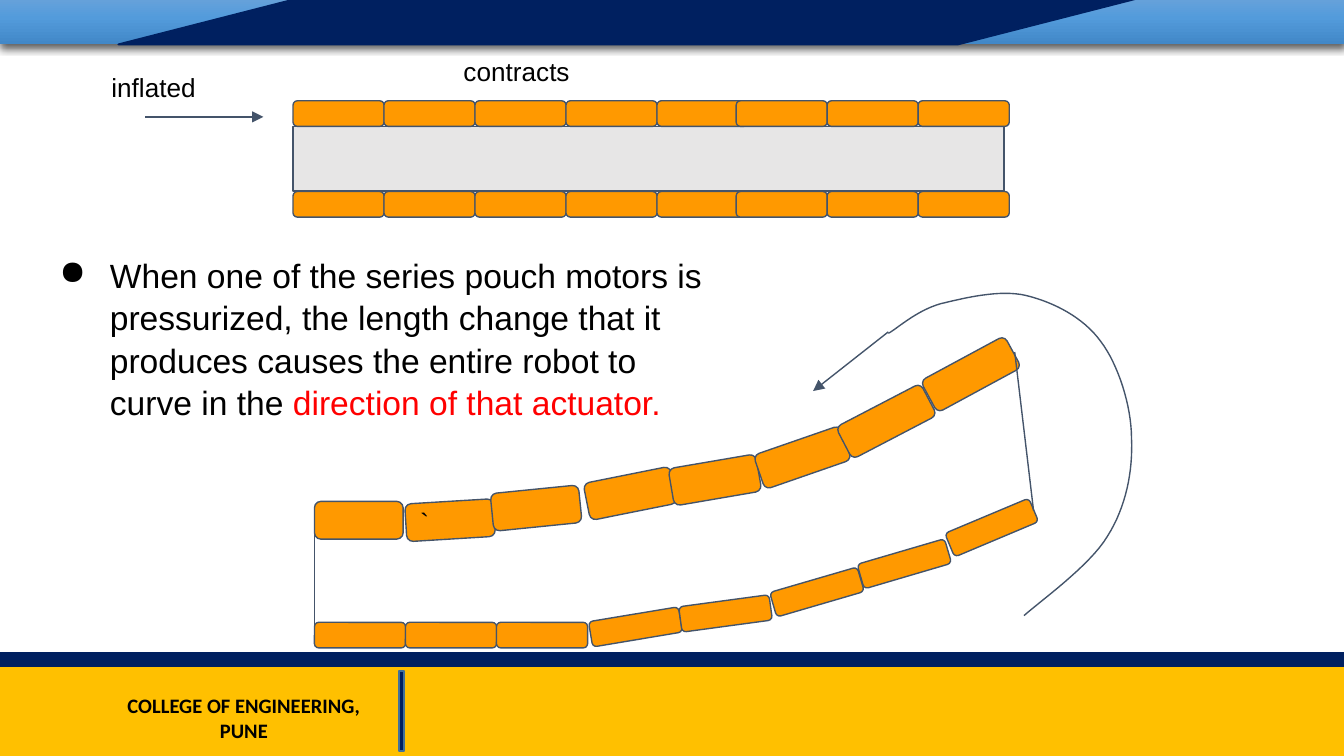
from copy import deepcopy
from dataclasses import dataclass
from typing import Optional

from lxml.etree import SubElement
from pptx import Presentation
from pptx.dml.color import RGBColor
from pptx.enum.shapes import MSO_CONNECTOR, MSO_SHAPE
from pptx.enum.text import MSO_ANCHOR, MSO_AUTO_SIZE, PP_ALIGN
from pptx.oxml.ns import qn
from pptx.util import Pt

BLACK = RGBColor(0x00, 0x00, 0x00)
RED = RGBColor(0xFF, 0x00, 0x00)
NAVY = RGBColor(0x00, 0x20, 0x60)
GOLD = RGBColor(0xFF, 0xC0, 0x00)
ORANGE = RGBColor(0xFF, 0x99, 0x00)
LIGHT_GREY = RGBColor(0xE7, 0xE6, 0xE6)
SLATE = RGBColor(0x44, 0x54, 0x6A)
STEEL_BLUE = RGBColor(0x42, 0x71, 0x9B)
SKY_STOPS = (
    (0, RGBColor(0x70, 0xA5, 0xDA)),
    (0.5, RGBColor(0x53, 0x9B, 0xDB)),
    (1, RGBColor(0x42, 0x88, 0xC8)),
)
POUCH_WIDTH, POUCH_HEIGHT, POUCH_PITCH = 48.8, 13.7, 48.75


@dataclass(frozen=True)
class Pouch:
    """One actuator pouch, measured in points and degrees."""

    left: float
    top: float
    width: float = POUCH_WIDTH
    height: float = POUCH_HEIGHT
    rotation: float = 0


FLAT_LEFTS = [157 + POUCH_PITCH * i for i in range(5)] + [394.4 + POUCH_PITCH * i for i in range(3)]
FLAT_POUCHES = [Pouch(left, top) for top in (54, 102.6) for left in FLAT_LEFTS]
BENT_TOP = [
    Pouch(168.5, 268.6, 47.5, 20.2),
    Pouch(217.4, 268.6, 47.5, 20.2, -3.5),
    Pouch(313.9, 254.2, 47.5, 20.2, -11.3),
    Pouch(263.5, 262.1, 47.5, 20.2, -5.7),
    Pouch(359.3, 247, 47.5, 20.2, -9.7),
    Pouch(405.4, 235.4, 49, 19.4, -19.1),
    Pouch(449.3, 216, 51.1, 19.4, -27.5),
    Pouch(494.6, 190.8, 51.1, 19.4, -28.4),
]
BENT_BOTTOM = [Pouch(168.5 + POUCH_PITCH * i, 333.4) for i in range(3)] + [
    Pouch(316.1, 329, rotation=-9.5),
    Pouch(364.3, 321.8, rotation=-7.7),
    Pouch(413.3, 310.3, rotation=-16.3),
    Pouch(460.1, 295.2, rotation=-16.4),
    Pouch(506.9, 275.8, rotation=-22.8),
]
CURVE_START = (475.9, 178.6)
CURVES = (
    ((480.2, 176.4), (491, 166.3), (504, 162.7)),
    ((516.2, 159.8), (535.7, 154.8), (550.1, 158.4)),
    ((564.5, 162), (580.3, 169.9), (589.7, 182.9)),
    ((599, 195.1), (606.2, 217.4), (606.2, 234.7)),
    ((607, 252), (603.4, 271.4), (593.3, 287.3)),
    ((583.9, 303.1), (556.6, 322.6), (548.6, 329.8)),
)


def add_box(slide, kind, left, top, width, height, fill: Optional[RGBColor] = None,
            line: Optional[RGBColor] = None, line_width: float = 1):
    """Add a preset shape without shadow."""
    shape = slide.shapes.add_shape(kind, Pt(left), Pt(top), Pt(width), Pt(height))
    shape.shadow.inherit = False
    if fill is not None:
        shape.fill.solid()
        shape.fill.fore_color.rgb = fill
    if line is None:
        shape.line.fill.background()
    else:
        shape.line.color.rgb = line
        shape.line.width = Pt(line_width)
    return shape


def add_sky_band(slide) -> None:
    """Add the shaded header band with its soft shadow."""
    band = add_box(slide, MSO_SHAPE.RECTANGLE, 0, -5, 720, 28.8)
    band.fill.gradient()
    band.fill.gradient_angle = 270
    properties = band._element.spPr
    stops = next(properties.iter(qn("a:gsLst")))
    stops.append(deepcopy(stops[0]))
    for stop, (position, color) in zip(band.fill.gradient_stops, SKY_STOPS):
        stop.position = position
        stop.color.rgb = color
    shadow = SubElement(properties.find(qn("a:effectLst")), qn("a:outerShdw"),
                        blurRad=str(Pt(4.5)), dist=str(Pt(1.5)), dir="5400000", rotWithShape="0")
    color = SubElement(shadow, qn("a:srgbClr"), val=str(BLACK))
    SubElement(color, qn("a:alpha"), val="63000")


def add_pouch(slide, pouch: Pouch):
    """Add one orange pouch."""
    shape = add_box(slide, MSO_SHAPE.ROUNDED_RECTANGLE, pouch.left, pouch.top,
                    pouch.width, pouch.height, ORANGE, SLATE, 0.75)
    shape.adjustments[0] = 0.167
    shape.rotation = pouch.rotation
    return shape


def add_line(slide, start, end, arrow: bool = False, joined=None) -> None:
    """Add a straight line, with an arrowhead or joined to (shape, shape, side)."""
    connector = slide.shapes.add_connector(MSO_CONNECTOR.STRAIGHT, *map(Pt, start + end))
    if joined:
        first, last, side = joined
        connector.begin_connect(first, side)
        connector.end_connect(last, side)
        connector.begin_x, connector.begin_y = map(Pt, start)
        connector.end_x, connector.end_y = map(Pt, end)
    connector.line.color.rgb = SLATE
    connector.line.width = Pt(0.75)
    if arrow:
        SubElement(connector.line._get_or_add_ln(), qn("a:tailEnd"), type="triangle")
    SubElement(connector._element.spPr, qn("a:effectLst"))


def add_curve(slide, steps: int = 16) -> None:
    """Draw the cubic curves as one smooth open outline."""
    points, start = [], CURVE_START
    for first, second, end in CURVES:
        for step in range(1, steps + 1):
            t = step / steps
            weights = ((1 - t) ** 3, 3 * t * (1 - t) ** 2, 3 * t ** 2 * (1 - t), t ** 3)
            corners = (start, first, second, end)
            points.append(tuple(
                Pt(sum(w * corner[axis] for w, corner in zip(weights, corners))) for axis in (0, 1)))
        start = end
    builder = slide.shapes.build_freeform(*map(Pt, CURVE_START))
    builder.add_line_segments(points, close=False)
    shape = builder.convert_to_shape()
    shape.shadow.inherit = False
    shape.fill.background()
    shape.line.color.rgb = SLATE
    shape.line.width = Pt(0.75)


def add_frame(slide, left, top, width, height, horizontal: float = 7.2, vertical: float = 7.2,
              grow: bool = True):
    """Add a wrapping text box and return its text frame."""
    frame = slide.shapes.add_textbox(Pt(left), Pt(top), Pt(width), Pt(height)).text_frame
    frame.word_wrap = True
    frame.margin_left = frame.margin_right = Pt(horizontal)
    frame.margin_top = frame.margin_bottom = Pt(vertical)
    frame.auto_size = MSO_AUTO_SIZE.SHAPE_TO_FIT_TEXT if grow else MSO_AUTO_SIZE.NONE
    return frame


def write(frame, text: str, *, size: float = 14, font: str = "Arial", color: RGBColor = BLACK,
          bold: bool = False, align=PP_ALIGN.LEFT) -> None:
    """Append a formatted run to the first paragraph of a frame."""
    paragraph = frame.paragraphs[0]
    paragraph.alignment = align
    run = paragraph.add_run()
    run.text = text
    run.font.size = Pt(size)
    run.font.name = font
    run.font.color.rgb = color
    run.font.bold = bold


def set_bullet(paragraph) -> None:
    """Give a paragraph a black round bullet and a hanging indent."""
    properties = paragraph._p.get_or_add_pPr()
    properties.set("marL", str(Pt(36)))
    properties.set("indent", str(Pt(-27)))
    color = SubElement(properties, qn("a:buClr"))
    SubElement(color, qn("a:srgbClr"), val=str(BLACK))
    SubElement(properties, qn("a:buChar"), char="●")
    paragraph.line_spacing = 1.05


def add_banners(slide) -> None:
    """Add the header and footer bands."""
    add_sky_band(slide)
    add_box(slide, MSO_SHAPE.FLOWCHART_DATA, 63.4, -5, 562.3, 28.8, NAVY, NAVY)
    add_box(slide, MSO_SHAPE.RECTANGLE, 0, 357.1, 720, 48, GOLD, GOLD)
    add_box(slide, MSO_SHAPE.RECTANGLE, 0, 349.9, 720, 7.2, NAVY, NAVY)
    footer = add_frame(slide, 51.8, 368.6, 157.7, 67, 5, 2.9, grow=False)
    write(footer, "COLLEGE OF ENGINEERING, PUNE", size=11, font="Calibri", bold=True,
          align=PP_ALIGN.CENTER)
    add_box(slide, MSO_SHAPE.RECTANGLE, 213.8, 359.3, 2.9, 43.2, NAVY, STEEL_BLUE)


def main() -> None:
    """Build the slide and save it."""
    presentation = Presentation()
    presentation.slide_width, presentation.slide_height = Pt(720), Pt(405)
    slide = presentation.slides.add_slide(presentation.slide_layouts[6])
    add_banners(slide)
    add_box(slide, MSO_SHAPE.RECTANGLE, 157, 67.7, 380.9, 34.6, LIGHT_GREY, SLATE, 0.75)
    for pouch in FLAT_POUCHES:
        add_pouch(slide, pouch)
    upper = [add_pouch(slide, pouch) for pouch in BENT_TOP]
    lower = [add_pouch(slide, pouch) for pouch in BENT_BOTTOM]
    marked = upper[1].text_frame
    marked.vertical_anchor = MSO_ANCHOR.MIDDLE
    marked.margin_left = marked.margin_right = marked.margin_top = marked.margin_bottom = Pt(7.2)
    write(marked, "`")
    add_line(slide, (77.8, 62.6), (141.1, 62.6), arrow=True)
    add_line(slide, (168.5, 278.7), (168.5, 340.25), joined=(upper[0], lower[0], 1))
    add_line(slide, (543.6, 188.6), (553.7, 273.6), joined=(upper[-1], lower[-1], 3))
    write(add_frame(slide, 52.6, 31, 82.1, 31.7), "inflated")
    write(add_frame(slide, 241.2, 22.3, 140.4, 31.7), "contracts")
    add_line(slide, (475.9, 177.8), (435.6, 209.5), arrow=True)
    add_curve(slide)
    body = add_frame(slide, 15.8, 128.2, 367.9, 101.5)
    set_bullet(body.paragraphs[0])
    write(body, "When one of the series pouch motors is pressurized, the length change that it "
          "produces causes the entire robot to curve in the ", size=18)
    write(body, "direction of that actuator.", size=18, color=RED)
    presentation.save("out.pptx")


if __name__ == "__main__":
    main()
